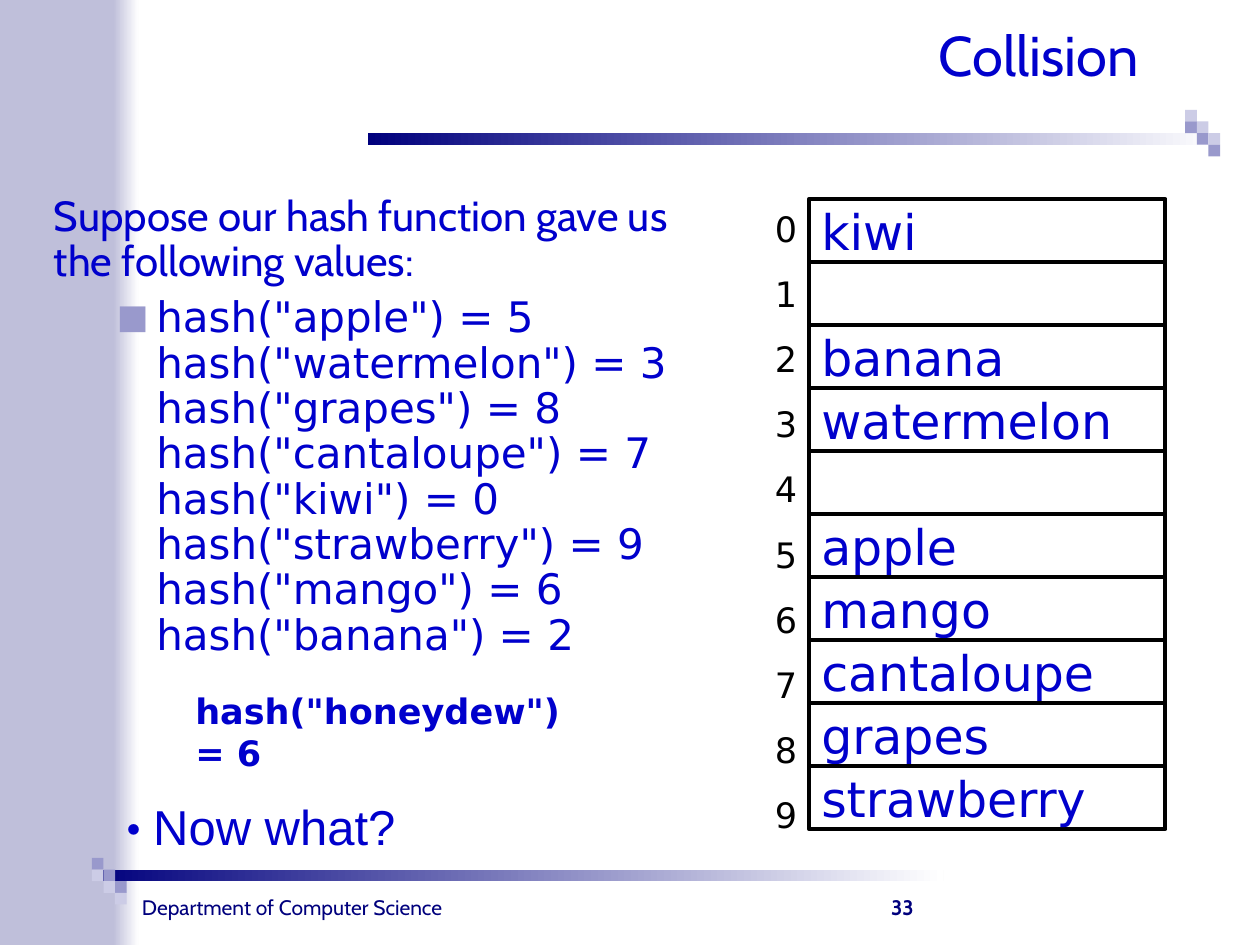
from typing import NamedTuple, Optional

from lxml.etree import SubElement
from pptx import Presentation
from pptx.dml.color import RGBColor
from pptx.enum.shapes import MSO_SHAPE as Preset
from pptx.enum.text import MSO_ANCHOR as Anchor, PP_ALIGN as Align
from pptx.oxml.ns import qn
from pptx.util import Pt

BLUE, NAVY, WHITE, BLACK = "0000CC", "00007D", "FFFFFF", "000000"
STRIP, DARK, LIGHT = "BFBFDA", "9999CC", "CCCCE6"
CABIN, DEJAVU, ARIAL = "Cabin", "DejaVu Sans", "Arial"

SQUARE = 6.65
BAR_WIDTH = 486.75
SLOT_LEFT, SLOT_TOP, SLOT_WIDTH, SLOT_HEIGHT = 462.25, 113.75, 203.75, 36
SLOTS = ["kiwi", "", "banana", "watermelon", "", "apple", "mango",
         "cantaloupe", "grapes", "strawberry"]
HASHES = {"apple": 5, "watermelon": 3, "grapes": 8, "cantaloupe": 7,
          "kiwi": 0, "strawberry": 9, "mango": 6, "banana": 2}


class Box(NamedTuple):
    left: float
    top: float
    width: float
    height: float


class Bullet(NamedTuple):
    char: str
    margin: float
    hanging: float
    color: str
    font: str
    percent: int = 100


class Ornament(NamedTuple):
    """A fading bar with squares, placed by column and row from a corner."""
    left: float
    top: float
    bar_left: float
    bar_row: int
    squares: dict


ORNAMENTS = [
    Ornament(52.5, 490.25, 52.5, 1,
             {(0, 0): DARK, (0, 1): LIGHT, (1, 1): DARK,
              (1, 2): LIGHT, (2, 2): DARK, (2, 3): LIGHT}),
    Ornament(677.25, 62.75, 210.25, 2,
             {(0, 0): LIGHT, (0, 1): DARK, (1, 1): LIGHT,
              (1, 2): DARK, (2, 2): LIGHT, (2, 3): DARK}),
]


def rgb(value: str) -> RGBColor:
    return RGBColor.from_string(value)


def place(shape, box: Box) -> None:
    shape.left, shape.top, shape.width, shape.height = map(Pt, box)


def add_preset(slide, preset, box: Box):
    shape = slide.shapes.add_shape(preset, *map(Pt, box))
    shape.shadow.inherit = False
    return shape


def add_rectangle(slide, box: Box, color: str, end_color: Optional[str] = None) -> None:
    """Draw a borderless rectangle, fading to end_color on the right if given."""
    shape = add_preset(slide, Preset.RECTANGLE, box)
    shape.line.fill.background()
    if end_color is None:
        shape.fill.solid()
        shape.fill.fore_color.rgb = rgb(color)
        return
    shape.fill.gradient()
    shape.fill.gradient_angle = 0
    for stop, stop_color in zip(shape.fill.gradient_stops, (color, end_color)):
        stop.color.rgb = rgb(stop_color)


def add_ornament(slide, ornament: Ornament) -> None:
    bar_top = ornament.top + ornament.bar_row * SQUARE
    add_rectangle(slide, Box(ornament.bar_left, bar_top, BAR_WIDTH, SQUARE), NAVY, WHITE)
    for (column, row), color in ornament.squares.items():
        left, top = ornament.left + column * SQUARE, ornament.top + row * SQUARE
        add_rectangle(slide, Box(left, top, SQUARE, SQUARE), color)


def set_bullet(paragraph, bullet: Bullet) -> None:
    properties = paragraph._p.get_or_add_pPr()
    properties.set("marL", str(Pt(bullet.margin)))
    properties.set("indent", str(Pt(-bullet.hanging)))
    color = SubElement(properties, qn("a:buClr"))
    SubElement(color, qn("a:srgbClr"), val=bullet.color)
    SubElement(properties, qn("a:buSzPct"), val=str(bullet.percent * 1000))
    SubElement(properties, qn("a:buFont"), typeface=bullet.font)
    SubElement(properties, qn("a:buChar"), char=bullet.char)


def write(frame, text: str, *, size: float, font: str, color: str = BLUE,
          bold: bool = False, align=Align.LEFT, before: Optional[float] = None,
          spacing: Optional[float] = None, bullet: Optional[Bullet] = None) -> None:
    """Add a paragraph to the frame, filling its empty first one if there is one."""
    first = frame.paragraphs[0]
    paragraph = frame.add_paragraph() if first.runs else first
    if bullet:
        set_bullet(paragraph, bullet)
    paragraph.alignment = align
    if before is not None:
        paragraph.space_before = Pt(before)
    if spacing is not None:
        paragraph.line_spacing = spacing
    for number, line in enumerate(text.split("\n")):
        if number:
            paragraph.add_line_break()
        run = paragraph.add_run()
        run.text = line
        run.font.size, run.font.name, run.font.bold = Pt(size), font, bold
        run.font.color.rgb = rgb(color)


def add_frame(slide, box: Box, anchor=Anchor.TOP):
    frame = slide.shapes.add_textbox(*map(Pt, box)).text_frame
    frame.word_wrap = True
    frame.vertical_anchor = anchor
    return frame


def add_slot(slide, index: int, word: str) -> None:
    box = Box(SLOT_LEFT, SLOT_TOP + index * SLOT_HEIGHT, SLOT_WIDTH, SLOT_HEIGHT)
    shape = add_preset(slide, Preset.FLOWCHART_PROCESS, box)
    shape.fill.background()
    shape.line.color.rgb = rgb(BLACK)
    shape.line.width = Pt(2.25)
    if word:
        shape.text_frame.word_wrap = True
        shape.text_frame.vertical_anchor = Anchor.MIDDLE
        write(shape.text_frame, word, size=28, font=DEJAVU)


def add_hash_table(slide) -> None:
    labels = add_frame(slide, Box(435.75, 115, 26, 360))
    for index, word in enumerate(SLOTS):
        add_slot(slide, index, word)
        write(labels, str(index), size=20, font=DEJAVU, color=BLACK,
              before=13.2 if index else None)


def main() -> None:
    presentation = Presentation()
    presentation.slide_width, presentation.slide_height = Pt(720), Pt(540)
    slide = presentation.slides.add_slide(presentation.slide_layouts[5])

    add_rectangle(slide, Box(64.75, 0, 14.5, 540), STRIP, WHITE)
    add_rectangle(slide, Box(0, 0, 64.75, 540), STRIP)
    for ornament in ORNAMENTS:
        add_ornament(slide, ornament)

    title = slide.shapes.title
    place(title, Box(5.75, 5.75, 652.25, 48.25))
    title.text_frame.vertical_anchor = Anchor.BOTTOM
    write(title.text_frame, "Collision", size=32, font=CABIN, align=Align.RIGHT)

    body = add_frame(slide, Box(23.75, 108, 398, 306))
    write(body, "Suppose our hash function gave us the following values:",
          size=24, font=CABIN, spacing=0.9)
    calls = "\n".join(f'hash("{word}") = {value}' for word, value in HASHES.items())
    write(body, calls, size=24, font=DEJAVU, before=6, spacing=0.9,
          bullet=Bullet("■", 58.5, 22.5, DARK, DEJAVU, 80))

    add_hash_table(slide)

    honeydew = add_frame(slide, Box(104.5, 390.25, 231.75, 56))
    write(honeydew, 'hash("honeydew") = 6', size=20, font=DEJAVU, bold=True)
    question = add_frame(slide, Box(65.5, 451.5, 170.75, 41))
    write(question, "Now what?", size=28, font=ARIAL,
          bullet=Bullet("•", 15, 15, BLUE, CABIN))

    footer = add_frame(slide, Box(65.5, 507.5, 203, 21.5))
    write(footer, "Department of Computer Science", size=12, font=CABIN,
          color=NAVY, align=Align.CENTER)
    number = add_frame(slide, Box(248.5, 493.25, 280.75, 36), Anchor.BOTTOM)
    write(number, "33", size=12, font=CABIN, color=NAVY, bold=True, align=Align.RIGHT)

    presentation.save("out.pptx")


if __name__ == "__main__":
    main()
